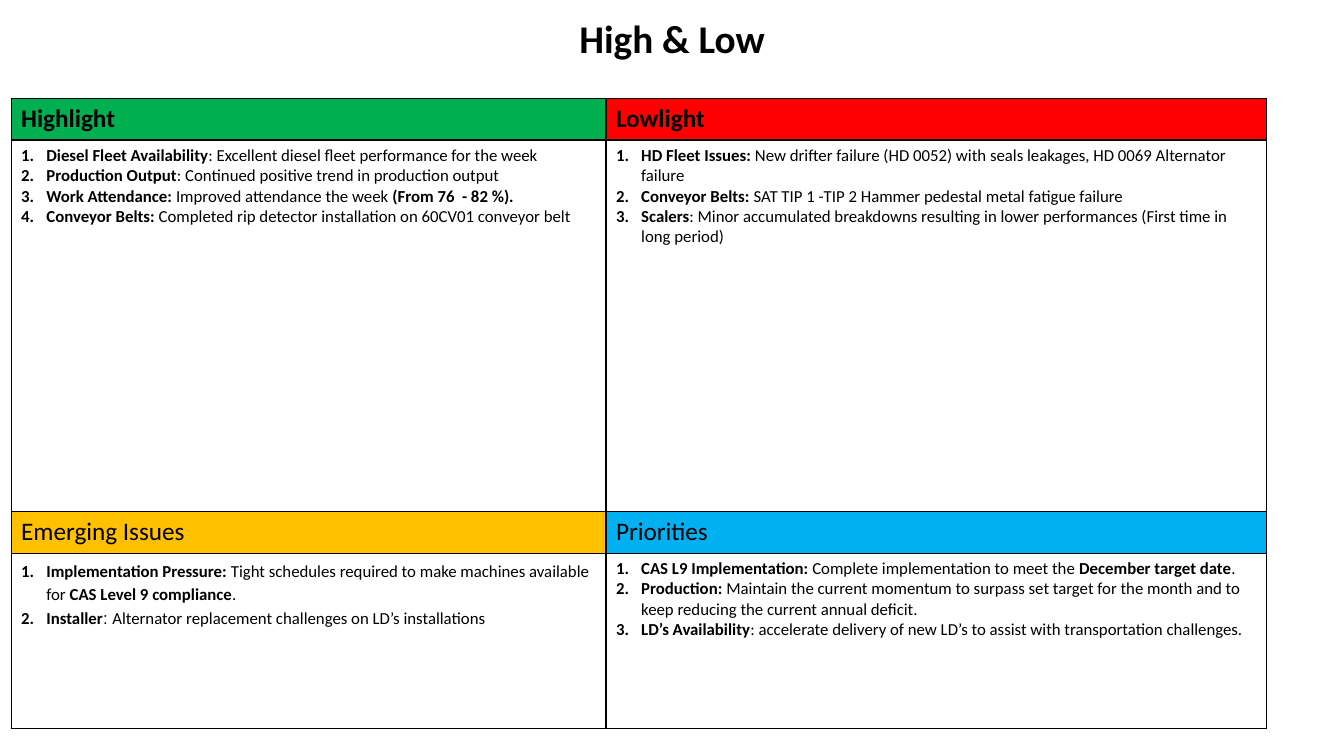
from lxml.etree import SubElement
from pptx import Presentation
from pptx.dml.color import RGBColor
from pptx.enum.text import MSO_AUTO_SIZE, PP_ALIGN
from pptx.oxml.ns import qn
from pptx.util import Cm, Pt

COLUMN_WIDTHS = [14.99, 16.64]
HEADING_HEIGHT = 1.04
BODY_HEIGHTS = [9.37, 4.42]

QUADRANTS = [
    [
        ("Highlight", "00B050", True, 1.0, [
            "Diesel Fleet Availability|: Excellent diesel fleet performance for the week",
            "Production Output|: Continued positive trend in production output",
            "Work Attendance: |Improved attendance the week |(From 76  - 82 %).",
            "Conveyor Belts: |Completed rip detector installation on 60CV01 conveyor belt",
        ]),
        ("Lowlight", "FF0000", True, 1.0, [
            "HD Fleet Issues: |New drifter failure (HD 0052) with seals leakages, "
            "HD 0069 Alternator failure",
            "Conveyor Belts: |SAT TIP 1 -TIP 2 Hammer pedestal metal fatigue failure",
            "Scalers|: Minor accumulated breakdowns resulting in lower performances "
            "(First time in long period)",
        ]),
    ],
    [
        ("Emerging Issues", "FFC000", False, 1.15, [
            "Implementation Pressure: |Tight schedules required to make machines "
            "available for |CAS Level 9 compliance|.",
            "Installer|: ||Alternator replacement challenges on LD’s installations",
        ]),
        ("Priorities", "00B0F0", False, 1.0, [
            "CAS L9 Implementation: |Complete implementation to meet the "
            "|December target date|.",
            "Production: |Maintain the current momentum to surpass set target for the "
            "month and to keep reducing the current annual deficit.",
            "LD’s Availability|: accelerate delivery of new LD’s to assist with "
            "transportation challenges.",
        ]),
    ],
]


def color(hex_code):
    """Turn a hex string into a colour."""
    return RGBColor.from_string(hex_code)


def add_phrase(paragraph, phrase, size, bold, font="Calibri"):
    """Append one formatted run."""
    run = paragraph.add_run()
    run.text = phrase
    run.font.name = font
    run.font.size = Pt(size)
    run.font.bold = bold
    run.font.color.rgb = color("000000")


def style_cell(cell, fill):
    """Fill a cell and draw its black borders."""
    properties = cell._tc.get_or_add_tcPr()
    for side in ("a:lnL", "a:lnR", "a:lnT", "a:lnB"):
        border = SubElement(properties, qn(side), w=str(Pt(1)))
        solid = SubElement(border, qn("a:solidFill"))
        SubElement(solid, qn("a:srgbClr"), val="000000")
    cell.fill.solid()
    cell.fill.fore_color.rgb = color(fill)


def number_paragraph(paragraph):
    """Give a paragraph automatic numbering with a hanging indent."""
    properties = paragraph._p.get_or_add_pPr()
    properties.set("marL", str(Cm(0.635)))
    properties.set("indent", str(-Cm(0.635)))
    SubElement(properties, qn("a:buFont"), typeface="+mj-lt")
    SubElement(properties, qn("a:buAutoNum"), type="arabicPeriod")


def fill_quadrant(heading_cell, body_cell, quadrant):
    """Write a heading and items whose phrases alternate bold and regular."""
    heading, fill, bold, spacing, items = quadrant
    style_cell(heading_cell, fill)
    add_phrase(heading_cell.text_frame.paragraphs[0], heading, 18, bold)
    style_cell(body_cell, "FFFFFF")
    frame = body_cell.text_frame
    for index, item in enumerate(items):
        paragraph = frame.add_paragraph() if index else frame.paragraphs[0]
        paragraph.line_spacing = spacing
        number_paragraph(paragraph)
        for position, phrase in enumerate(item.split("|")):
            if phrase:
                font = "Arial" if phrase == ": " else "Calibri"
                add_phrase(paragraph, phrase, 12, position % 2 == 0, font)


def add_title(slide, left, top, width, height):
    """Place the centred slide title."""
    title = slide.shapes.add_textbox(left, top, width, height).text_frame
    title.word_wrap = True
    title.auto_size = MSO_AUTO_SIZE.SHAPE_TO_FIT_TEXT
    title.paragraphs[0].alignment = PP_ALIGN.CENTER
    add_phrase(title.paragraphs[0], "High & Low", 28, True)


def add_quadrants(slide, left, top, width, height):
    """Place the table of four headed quadrants."""
    table = slide.shapes.add_table(4, 2, left, top, width, height).table
    for column, column_width in zip(table.columns, COLUMN_WIDTHS):
        column.width = Cm(column_width)
    for band, quadrants in enumerate(QUADRANTS):
        heading_row, body_row = 2 * band, 2 * band + 1
        table.rows[heading_row].height = Cm(HEADING_HEIGHT)
        table.rows[body_row].height = Cm(BODY_HEIGHTS[band])
        for column, quadrant in enumerate(quadrants):
            fill_quadrant(table.cell(heading_row, column),
                          table.cell(body_row, column), quadrant)


def main():
    """Build and save the slide."""
    deck = Presentation()
    deck.slide_width, deck.slide_height = Cm(33.87), Cm(19.05)
    slide = deck.slides.add_slide(deck.slide_layouts[6])
    add_quadrants(slide, Cm(0.28), Cm(2.49), Cm(sum(COLUMN_WIDTHS)),
                  Cm(2 * HEADING_HEIGHT + sum(BODY_HEIGHTS)))
    add_title(slide, Cm(0), Cm(0.23), deck.slide_width, Cm(1.45))
    deck.save("out.pptx")


if __name__ == "__main__":
    main()
